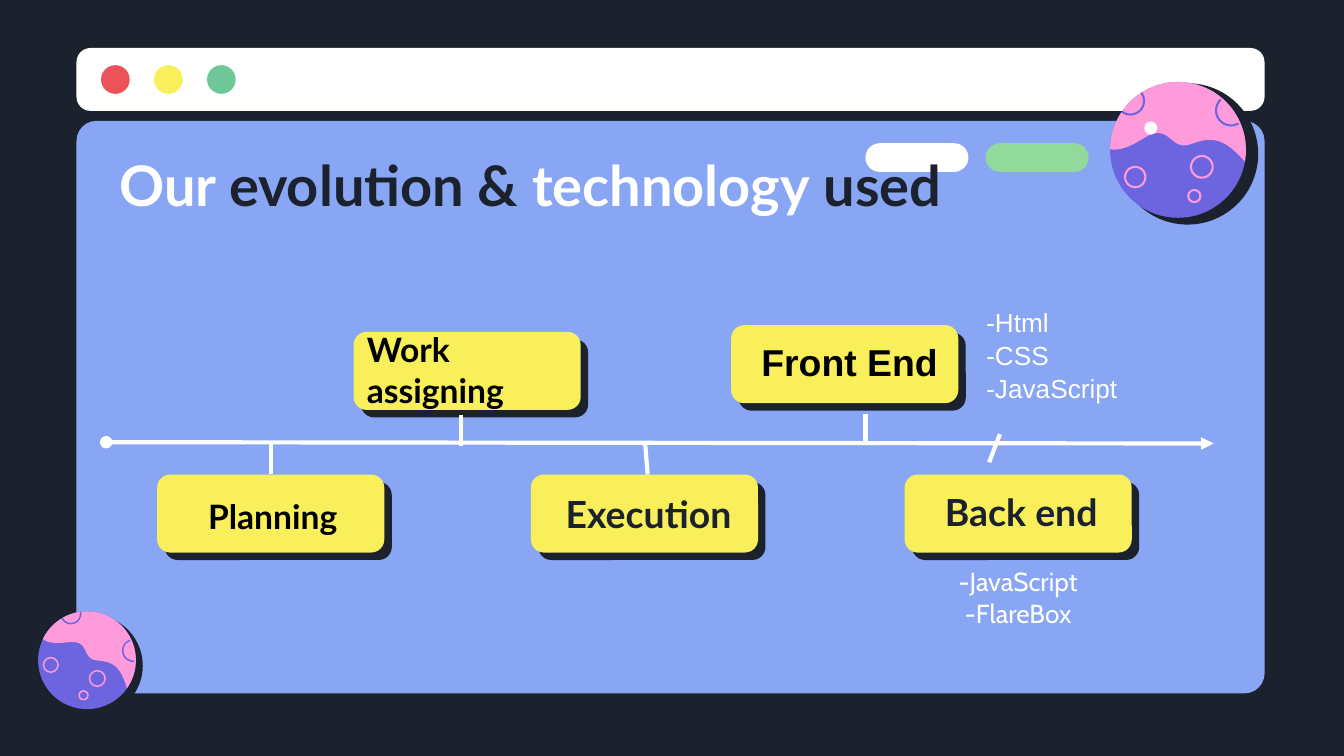
from math import atan2, cos, pi, radians, sin

from lxml import etree
from pptx import Presentation
from pptx.dml.color import RGBColor
from pptx.enum.shapes import MSO_CONNECTOR, MSO_SHAPE
from pptx.enum.text import MSO_ANCHOR, PP_ALIGN
from pptx.oxml.ns import qn
from pptx.util import Pt

ROUNDED, OVAL = MSO_SHAPE.ROUNDED_RECTANGLE, MSO_SHAPE.OVAL
STRAIGHT = MSO_CONNECTOR.STRAIGHT
LEFT, CENTER = PP_ALIGN.LEFT, PP_ALIGN.CENTER
TOP, MIDDLE = MSO_ANCHOR.TOP, MSO_ANCHOR.MIDDLE

NAVY = RGBColor(0x1B, 0x22, 0x2D)
BLUE = RGBColor(0x88, 0xA6, 0xF3)
WHITE = RGBColor(0xFF, 0xFF, 0xFF)
BLACK = RGBColor(0x00, 0x00, 0x00)
RED = RGBColor(0xEB, 0x53, 0x58)
YELLOW = RGBColor(0xF8, 0xEF, 0x5B)
GREEN = RGBColor(0x6D, 0xC7, 0x97)
LIGHT_GREEN = RGBColor(0x92, 0xD9, 0x9C)
PURPLE = RGBColor(0x6D, 0x65, 0xE0)
PINK = RGBColor(0xFF, 0x9B, 0xDA)

TITLE = {"name": "Lato", "size": Pt(30), "bold": True}
LARGE_LABEL = {"name": "Lato", "size": Pt(20), "bold": True}
ARIAL_LABEL = {"name": "Arial", "size": Pt(20), "bold": True}
SMALL_LABEL = {"name": "Lato", "size": Pt(18), "bold": True}
ARIAL_NOTE = {"name": "Arial", "size": Pt(14)}
CABIN_NOTE = {"name": "Cabin", "size": Pt(14)}

CARD_WIDTH, CARD_HEIGHT, CARD_SHADOW = 121.7, 41.8, 4
LOWER_ROW = 254.2
CARDS = [(84.2 + 200.2 * column, LOWER_ROW) for column in range(3)]
CARDS += [(189.4, 177.8), (391.7, 174.2)]

AXIS = 237.6
TICKS = [
    (145.4, LOWER_ROW, 145.4, AXIS),
    (347, LOWER_ROW, 345.6, AXIS),
    (463.7, 221.8, 463.7, AXIS),
    (529.9, 247.7, 535.7, 232.6),
    (247, 222.5, 247, 239),
]

WAVE = [
    [(0.98, 0.17), (0.7, -0.15), (0.52, -0.21), (0.21, -0.09)],
    [(0.21, -0.09), (-0.15, 0.05), (-0.09, -0.45), (-0.54, -0.15)],
    [(-0.54, -0.15), (-0.76, -0.01), (-0.9, 0.01), (-1, -0.01)],
]
CRATERS = [(-0.63, 0.4, 0.15), (0.35, 0.25, 0.16), (0.24, 0.68, 0.09)]
EDGE_CRATERS = [(-0.7, -0.72, 0.2), (0.78, -0.58, 0.22)]


def add_shape(slide, kind, box, fill, adjustment=None):
    shape = slide.shapes.add_shape(kind, *map(Pt, box))
    shape.shadow.inherit = False
    if adjustment is not None:
        shape.adjustments[0] = adjustment
    paint(shape, fill)
    return shape


def paint(shape, fill=None, outline=None, width=0):
    if fill is None:
        shape.fill.background()
    else:
        shape.fill.solid()
        shape.fill.fore_color.rgb = fill
    if outline is None:
        shape.line.fill.background()
    else:
        shape.line.color.rgb = outline
        shape.line.width = Pt(width)


def add_circle(slide, x, y, radius, fill):
    return add_shape(slide, OVAL, (x - radius, y - radius, 2 * radius, 2 * radius), fill)


def add_outline(slide, points, close):
    start, *others = [(Pt(x), Pt(y)) for x, y in points]
    builder = slide.shapes.build_freeform(*start)
    builder.add_line_segments(others, close=close)
    shape = builder.convert_to_shape()
    shape.shadow.inherit = False
    return shape


def bezier(points, steps=12):
    for step in range(steps + 1):
        t = step / steps
        weights = ((1 - t) ** 3, 3 * t * (1 - t) ** 2, 3 * t * t * (1 - t), t ** 3)
        yield tuple(sum(w * p[axis] for w, p in zip(weights, points)) for axis in (0, 1))


def arc(x, y, radius, start, end, steps=36):
    for step in range(steps + 1):
        angle = start + (end - start) * step / steps
        yield x + radius * cos(angle), y + radius * sin(angle)


def add_planet(slide, center_x, center_y, radius, turn):
    cosine, sine = cos(radians(turn)), sin(radians(turn))

    def place(x, y):
        return (center_x + radius * (x * cosine - y * sine),
                center_y + radius * (x * sine + y * cosine))

    add_circle(slide, *place(0.14, 0.06), 1.04 * radius, NAVY)
    add_circle(slide, center_x, center_y, radius, PURPLE)
    land = [point for curve in WAVE for point in bezier(curve)]
    land += arc(0, 0, 1, pi, 2 * pi + 0.17)
    paint(add_outline(slide, [place(*point) for point in land], True), PINK)
    width = 0.03 * radius
    for x, y, size in CRATERS:
        crater = add_circle(slide, *place(x, y), size * radius, PINK)
        paint(crater, None, PINK, width)
    for x, y, size in EDGE_CRATERS:
        inward = atan2(-y, -x)
        rim = arc(x, y, size, inward - 1.45, inward + 1.45)
        paint(add_outline(slide, [place(*point) for point in rim], False), None, PURPLE, width)


def add_text(slide, box, paragraphs, font_format, align=LEFT, anchor=TOP, inset=7.2, spacing=1):
    frame = slide.shapes.add_textbox(*map(Pt, box)).text_frame
    frame_format = {"word_wrap": True, "vertical_anchor": anchor,
                    "margin_left": Pt(7.2), "margin_right": Pt(7.2),
                    "margin_top": Pt(inset), "margin_bottom": Pt(inset)}
    for name, value in frame_format.items():
        setattr(frame, name, value)
    for index, runs in enumerate(paragraphs):
        paragraph = frame.add_paragraph() if index else frame.paragraphs[0]
        paragraph.alignment = align
        paragraph.line_spacing = spacing
        for text, color in runs:
            run = paragraph.add_run()
            run.text = text
            run.font.color.rgb = color
            for name, value in font_format.items():
                setattr(run.font, name, value)


def add_line(slide, ends, head=None, tail=None):
    connector = slide.shapes.add_connector(STRAIGHT, *map(Pt, ends))
    connector.line.color.rgb = WHITE
    connector.line.width = Pt(2.25)
    properties = connector.line._get_or_add_ln()
    for tag, kind in (("a:headEnd", head), ("a:tailEnd", tail)):
        if kind:
            etree.SubElement(properties, qn(tag), type=kind)
    etree.SubElement(connector._element.spPr, qn("a:effectLst"))


def add_window(slide):
    add_shape(slide, ROUNDED, (41, 64.8, 636.5, 306.7), BLUE, 0.035)
    add_shape(slide, ROUNDED, (41, 25.7, 636.5, 33.7), WHITE, 0.223)
    for index, color in enumerate((RED, YELLOW, GREEN)):
        add_circle(slide, 61.8 + 28.4 * index, 42.6, 7.7, color)
    for left, color in ((463.6, WHITE), (528, LIGHT_GREEN)):
        add_shape(slide, ROUNDED, (left, 76.7, 55.2, 15.4), color, 0.5)
    add_planet(slide, 631.1, 80.3, 36.4, 0)
    add_circle(slide, 616.5, 68.6, 3.5, WHITE)
    add_planet(slide, 46.6, 353.7, 26.2, 25)


def add_card(slide, left, top):
    for offset, color in ((CARD_SHADOW, NAVY), (0, YELLOW)):
        add_shape(slide, ROUNDED, (left + offset, top + offset, CARD_WIDTH, CARD_HEIGHT),
                  color, 0.167)


def add_labels(slide):
    add_text(slide, (56.9, 76.3, 607, 44.6),
             [[("Our ", WHITE), ("evolution & ", NAVY), ("technology", WHITE), (" used", NAVY)]],
             TITLE, anchor=MIDDLE)
    add_text(slide, (284.4, 254.2, 126, 41.8), [[("Execution", NAVY)]], LARGE_LABEL, CENTER, MIDDLE)
    add_text(slide, (476.6, 252.7, 141.1, 42.5), [[("Back end", NAVY)]], LARGE_LABEL, CENTER, MIDDLE)
    add_text(slide, (385, 172.9, 140.4, 41.8), [[("Front End", BLACK)]], ARIAL_LABEL, CENTER, MIDDLE)
    add_text(slide, (104.4, 262.1, 117.4, 28.8), [[("Planning", BLACK)]], SMALL_LABEL, inset=3.6)
    add_text(slide, (189.4, 172.8, 121.7, 51.1), [[("Work assigning", BLACK)]], SMALL_LABEL, inset=3.6)
    add_text(slide, (521.3, 156.2, 107.3, 59.8),
             [[(text, WHITE)] for text in ("-Html", "-CSS", "-JavaScript")],
             ARIAL_NOTE, spacing=1.05)
    add_text(slide, (491.8, 295.9, 107.3, 59.8),
             [[(text, WHITE)] for text in ("-JavaScript", "-FlareBox")], CABIN_NOTE, CENTER)


def main():
    presentation = Presentation()
    presentation.slide_width, presentation.slide_height = Pt(720), Pt(405)
    slide = presentation.slides.add_slide(presentation.slide_layouts[6])
    slide.background.fill.solid()
    slide.background.fill.fore_color.rgb = NAVY
    add_window(slide)
    for left, top in CARDS:
        add_card(slide, left, top)
    add_labels(slide)
    add_line(slide, (56.9, 236.9, 650.2, AXIS), "oval", "triangle")
    for ends in TICKS:
        add_line(slide, ends)
    presentation.save("out.pptx")


if __name__ == "__main__":
    main()
